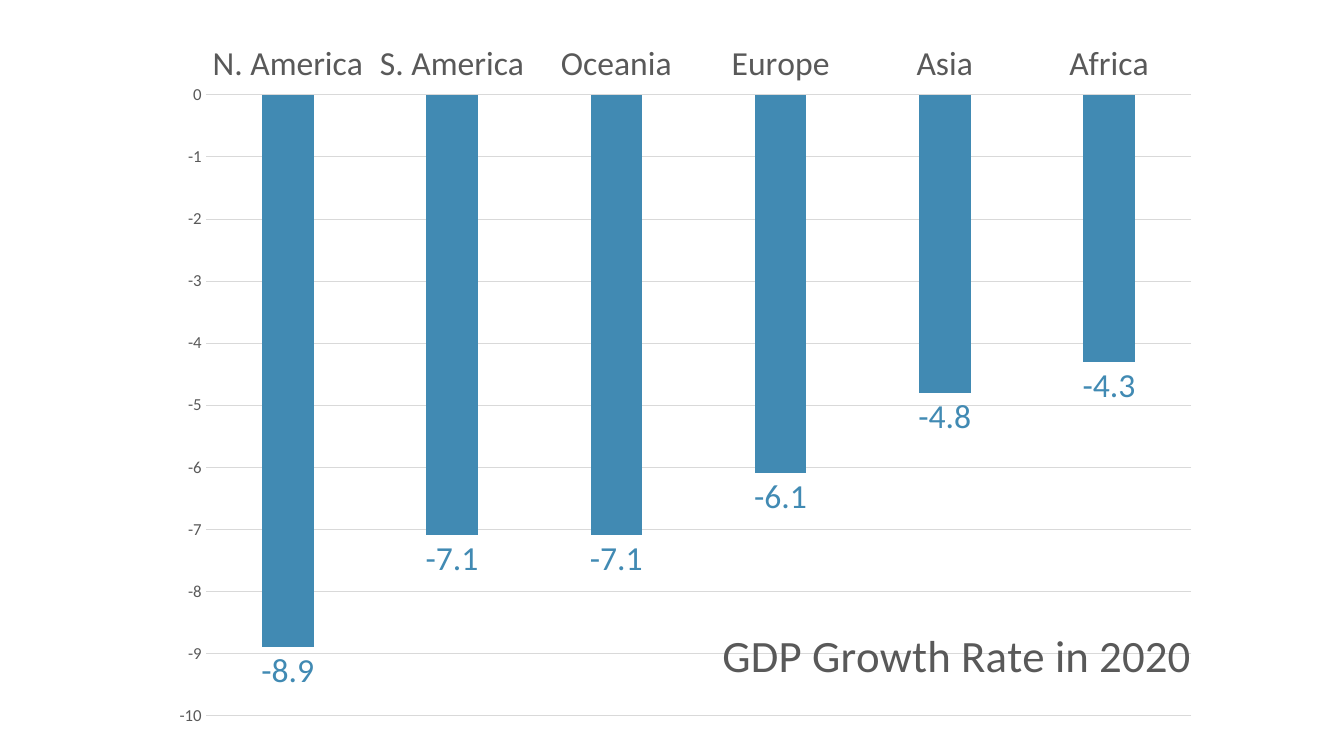
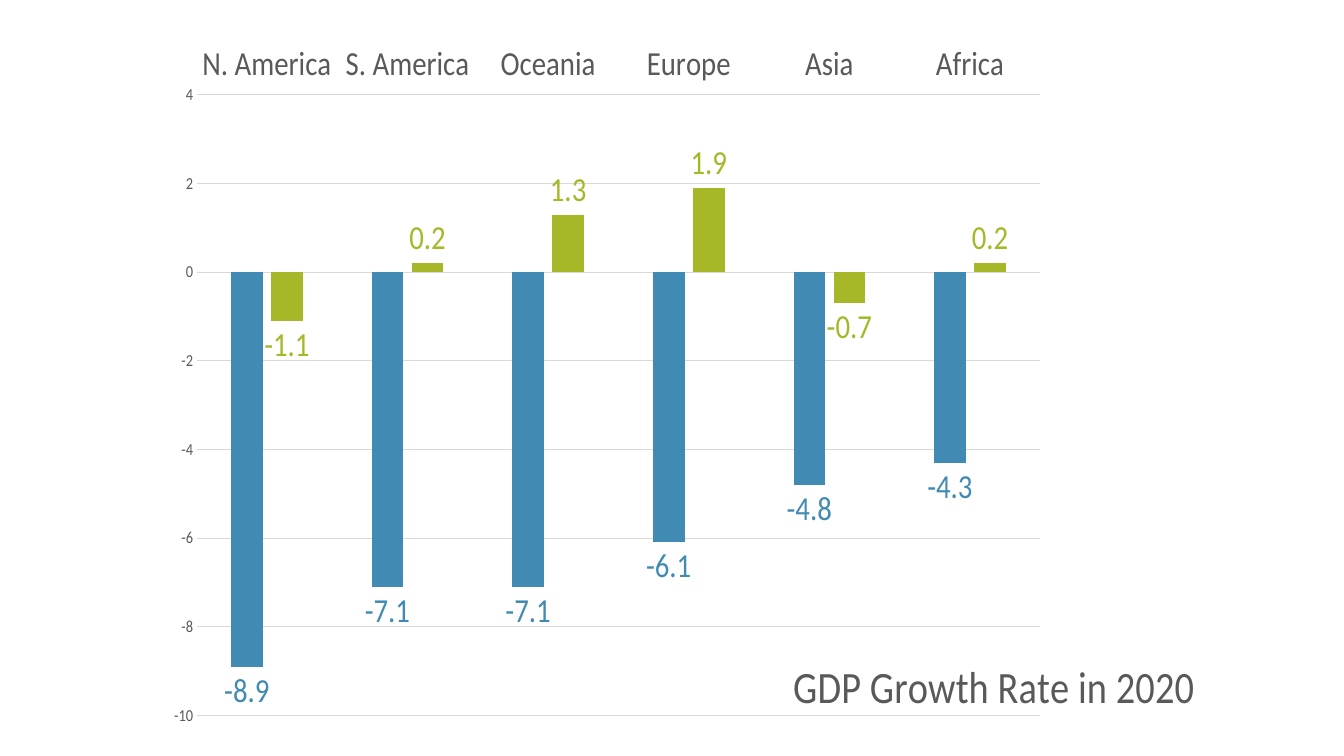
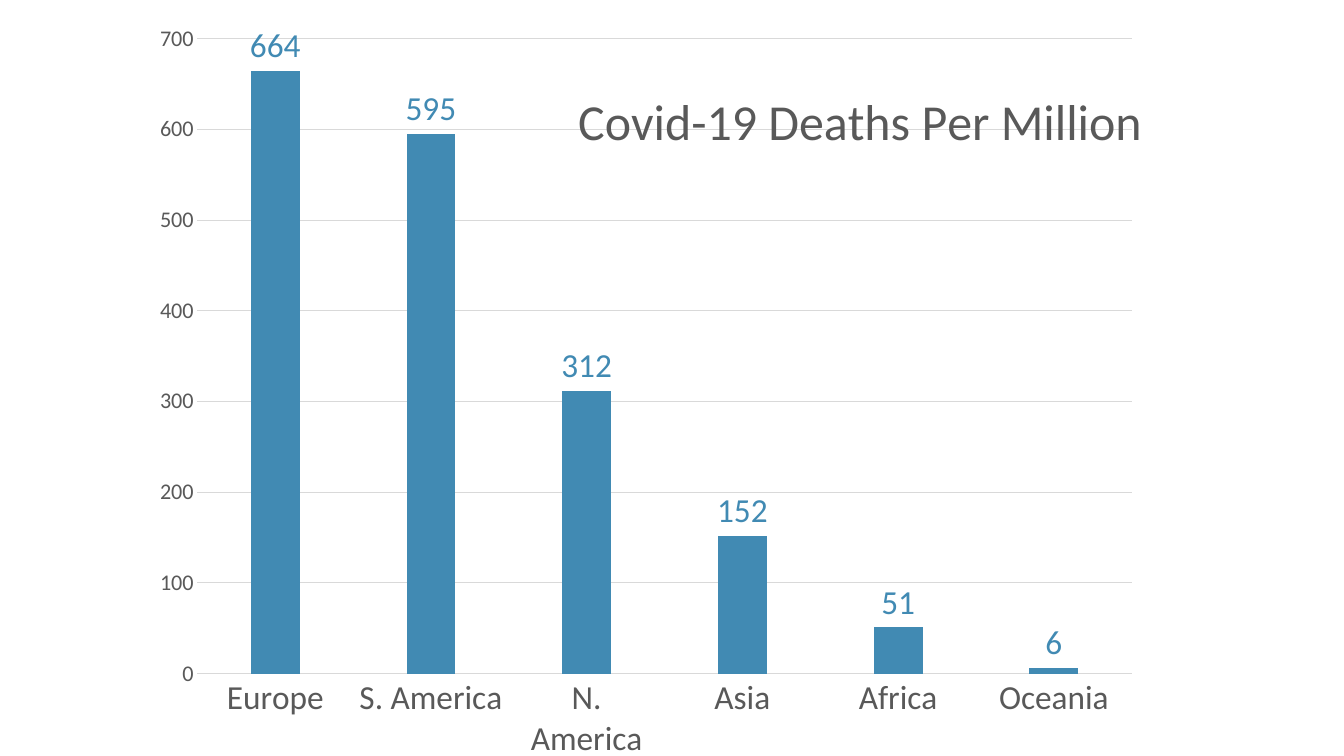
"""Build three column-chart slides on GDP growth and Covid-19 deaths."""
from lxml import etree
from pptx import Presentation
from pptx.chart import data as chart_data
from pptx.dml.color import RGBColor
from pptx.enum import chart as ec
from pptx.oxml import ns
from pptx.util import Inches, Pt

BLUE = RGBColor(0x41, 0x8A, 0xB3)
GREEN = RGBColor(0xA6, 0xB7, 0x27)
GRAY = RGBColor(0x59, 0x59, 0x59)
GRID = RGBColor(0xD9, 0xD9, 0xD9)
BLACK = RGBColor(0, 0, 0)
FONT = "Calibri"
SERIES_COLORS = (BLUE, GREEN)
LABEL_SIZE = 24

REGIONS = ("N. America", "S. America", "Oceania", "Europe", "Asia", "Africa")
GDP_2020 = (-8.9, -7.1, -7.1, -6.1, -4.8, -4.3)
GDP_COMPARED = (-1.1, 0.2, 1.3, 1.9, -0.7, 0.2)
GDP_TITLE = "GDP Growth Rate in 2020"
GDP_FRAME = (1.41, -0.35, 10.51, 7.6)
GDP_PLOT = (0.06, 0.17, 0.93, 0.81)

DEATH_REGIONS = ("Europe", "S. America", "N. America", "Asia", "Africa", "Oceania")
DEATHS = (664, 595, 312, 152, 51, 6)


def style_font(font, size, color=GRAY):
    font.name = FONT
    font.size = Pt(size)
    font.bold = False
    font.color.rgb = color


def write_text(frame, text, size=32, color=GRAY):
    frame.text = text
    paragraph = frame.paragraphs[0]
    style_font(paragraph.font, size, color)
    style_font(paragraph.runs[0].font, size, color)


def set_layout(parent, index, **settings):
    for old_layout in parent.findall(ns.qn("c:layout")):
        parent.remove(old_layout)
    layout = etree.Element(ns.qn("c:layout"))
    manual = etree.SubElement(layout, ns.qn("c:manualLayout"))
    for name, value in settings.items():
        etree.SubElement(manual, ns.qn(f"c:{name}")).set("val", str(value))
    parent.insert(index, layout)


def place_title(title, text, size, left, top):
    write_text(title.text_frame, text, size=size)
    set_layout(title._element, 1, xMode="edge", yMode="edge", x=left, y=top)


def place_plot(chart, left, top, width, height):
    plot_area = chart._chartSpace.chart.plotArea
    set_layout(plot_area, 0, layoutTarget="inner", xMode="edge", yMode="edge",
               x=left, y=top, w=width, h=height)


def style_category_axis(axis, label_position):
    axis.major_tick_mark = ec.XL_TICK_MARK.NONE
    axis.tick_label_position = label_position
    axis.format.line.color.rgb = GRID
    axis.format.line.width = Pt(0.75)
    style_font(axis.tick_labels.font, LABEL_SIZE)


def style_value_axis(axis, low, high, step, size):
    axis.minimum_scale, axis.maximum_scale, axis.major_unit = low, high, step
    axis.major_tick_mark = ec.XL_TICK_MARK.NONE
    axis.format.line.fill.background()
    axis.has_major_gridlines = True
    axis.major_gridlines.format.line.color.rgb = GRID
    axis.major_gridlines.format.line.width = Pt(0.75)
    style_font(axis.tick_labels.font, size)


def style_series(series, color):
    series.invert_if_negative = False
    series.format.fill.solid()
    series.format.fill.fore_color.rgb = color
    labels = series.data_labels
    labels.show_value = True
    labels.position = ec.XL_LABEL_POSITION.OUTSIDE_END
    style_font(labels.font, LABEL_SIZE, color)


def add_column_chart(slide, frame, plot_box, categories, series_values, scale,
                     base_size=10, value_size=12,
                     label_position=ec.XL_TICK_LABEL_POSITION.HIGH):
    data = chart_data.CategoryChartData()
    data.categories = categories
    for name, values in series_values.items():
        data.add_series(name, values)
    chart = slide.shapes.add_chart(ec.XL_CHART_TYPE.COLUMN_CLUSTERED,
                                   *map(Inches, frame), data).chart
    chart.has_title = False
    chart.has_legend = False
    style_font(chart.font, base_size, BLACK)
    plot = chart.plots[0]
    plot.vary_by_categories = False
    plot.gap_width = 219
    plot.overlap = -27
    style_category_axis(chart.category_axis, label_position)
    style_value_axis(chart.value_axis, *scale, value_size)
    for series, color in zip(plot.series, SERIES_COLORS):
        style_series(series, color)
    place_plot(chart, *plot_box)
    return chart


def add_blank_slide(presentation):
    return presentation.slides.add_slide(presentation.slide_layouts[6])


def build_growth_slide(presentation):
    chart = add_column_chart(add_blank_slide(presentation), GDP_FRAME, GDP_PLOT,
                             REGIONS, {GDP_TITLE: GDP_2020}, (-10, 0, 1))
    place_title(chart.chart_title, GDP_TITLE, 32, 0.54, 0.85)


def build_comparison_slide(presentation):
    chart = add_column_chart(add_blank_slide(presentation), GDP_FRAME, GDP_PLOT, REGIONS,
                             {"Series 1": GDP_2020, "Series 2": GDP_COMPARED}, (-10, 4, 2))
    place_title(chart.category_axis.axis_title, GDP_TITLE, 32, 0.71, 0.89)


def build_deaths_slide(presentation):
    chart = add_column_chart(add_blank_slide(presentation), (1.36, 0.16, 10.06, 7.5),
                             (0.06, 0.03, 0.93, 0.84), DEATH_REGIONS,
                             {"Series 1": DEATHS}, (0, 700, 100),
                             base_size=16, value_size=16,
                             label_position=ec.XL_TICK_LABEL_POSITION.NEXT_TO_AXIS)
    place_title(chart.chart_title, "Covid-19 Deaths Per Million", 36, 0.43, 0.08)


def main():
    presentation = Presentation()
    presentation.slide_width = Inches(13.33)
    presentation.slide_height = Inches(7.5)
    build_growth_slide(presentation)
    build_comparison_slide(presentation)
    build_deaths_slide(presentation)
    presentation.save("out.pptx")


if __name__ == "__main__":
    main()
